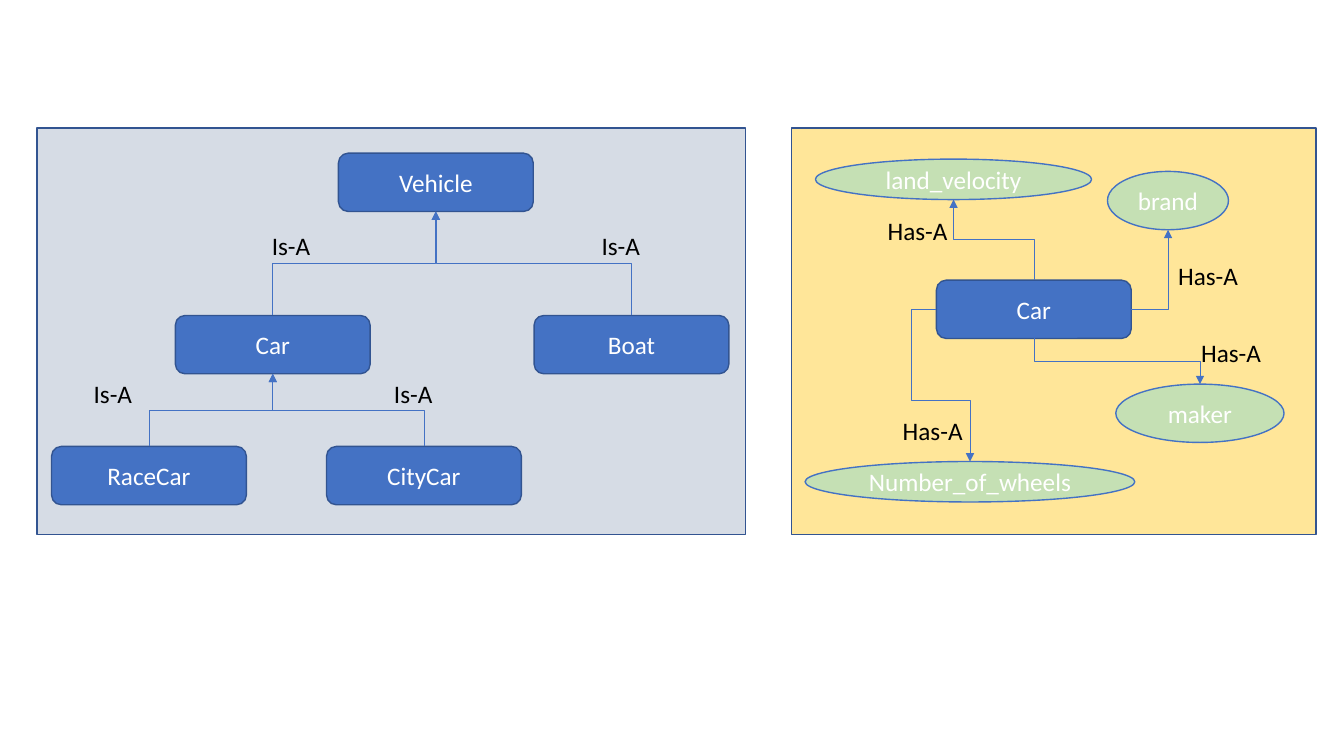
from dataclasses import dataclass

import pptx
import pptx.util
import pptx.dml.color
import pptx.enum.shapes
import pptx.enum.text
import pptx.oxml
import pptx.oxml.ns
from pptx.util import Cm

SHAPES = pptx.enum.shapes.MSO_SHAPE
TOP, LEFT, BOTTOM, RIGHT = range(4)
OVAL_SITES = {TOP: 0, LEFT: 2, BOTTOM: 4, RIGHT: 6}
NAMESPACE = pptx.oxml.ns.nsdecls("a")


@dataclass(frozen=True)
class Theme:
    font: str = "Calibri"
    text_size: float = 18
    outline_width: float = 1
    arrow_width: float = 0.5
    inheritance_panel: str = "D6DCE5"
    composition_panel: str = "FFE699"
    node: str = "4472C4"
    outline: str = "325491"
    attribute: str = "C5E0B4"
    light_text: str = "FFFFFF"
    dark_text: str = "000000"


THEME = Theme()


def color(value):
    return pptx.dml.color.RGBColor.from_string(value)


def add_box(slide, kind, bounds, fill, outline):
    shape = slide.shapes.add_shape(kind, *map(Cm, bounds))
    shape.shadow.inherit = False
    shape.fill.solid()
    shape.fill.fore_color.rgb = color(fill)
    shape.line.color.rgb = color(outline)
    shape.line.width = pptx.util.Pt(THEME.outline_width)
    return shape


def write_text(shape, text, text_color, alignment):
    frame = shape.text_frame
    frame.word_wrap = True
    frame.text = text
    paragraph = frame.paragraphs[0]
    paragraph.alignment = alignment
    paragraph.font.name = THEME.font
    paragraph.font.size = pptx.util.Pt(THEME.text_size)
    paragraph.font.color.rgb = color(text_color)


def add_class(slide, name, left, top):
    shape = add_box(slide, SHAPES.ROUNDED_RECTANGLE, (left, top, 4.91, 1.47),
                    THEME.node, THEME.outline)
    write_text(shape, name, THEME.light_text, pptx.enum.text.PP_ALIGN.CENTER)
    return shape


def add_attribute(slide, name, *bounds):
    shape = add_box(slide, SHAPES.OVAL, bounds, THEME.attribute, THEME.node)
    write_text(shape, name, THEME.light_text, pptx.enum.text.PP_ALIGN.CENTER)
    return shape


def add_label(slide, text, width, left, top):
    shape = slide.shapes.add_textbox(Cm(left), Cm(top), Cm(width), Cm(1.02))
    write_text(shape, text, THEME.dark_text, pptx.enum.text.PP_ALIGN.LEFT)


def bend(connector, vertical_start, geometry, adjustments):
    begin_x, begin_y = connector.begin_x, connector.begin_y
    across, down = connector.end_x - begin_x, connector.end_y - begin_y
    along, aside = (-down, across) if vertical_start else (across, down)
    connector.width, connector.height = abs(along), abs(aside)
    connector.left = begin_x + (across - abs(along)) // 2
    connector.top = begin_y + (down - abs(aside)) // 2
    properties = connector._element.spPr
    transform = properties.xfrm
    transform.rot = 270 if vertical_start else 0
    transform.flipH, transform.flipV = along < 0, aside < 0
    preset = properties.find(pptx.oxml.ns.qn("a:prstGeom"))
    preset.set("prst", geometry)
    for number, value in enumerate(adjustments, 1):
        preset[0].append(pptx.oxml.parse_xml(
            f'<a:gd {NAMESPACE} name="adj{number}" fmla="val {round(value * 100000)}"/>'))


def add_arrow(slide, source, source_side, target, target_side,
              geometry="bentConnector3", adjustments=()):
    connector = slide.shapes.add_connector(
        pptx.enum.shapes.MSO_CONNECTOR.ELBOW, 0, 0, 0, 0)
    connector.begin_connect(source, source_side)
    connector.end_connect(target, target_side)
    if target.auto_shape_type == SHAPES.OVAL:
        connection = connector._element.nvCxnSpPr.cNvCxnSpPr.endCxn
        connection.idx = OVAL_SITES[target_side]
    bend(connector, source_side in (TOP, BOTTOM), geometry, adjustments)
    connector.line.color.rgb = color(THEME.node)
    connector.line.width = pptx.util.Pt(THEME.arrow_width)
    connector.line._get_or_add_ln().append(
        pptx.oxml.parse_xml(f'<a:tailEnd {NAMESPACE} type="triangle"/>'))
    connector._element.spPr.append(
        pptx.oxml.parse_xml(f"<a:effectLst {NAMESPACE}/>"))


def draw_inheritance(slide):
    add_box(slide, SHAPES.RECTANGLE, (0.93, 3.23, 17.86, 10.24),
            THEME.inheritance_panel, THEME.outline)
    vehicle = add_class(slide, "Vehicle", 8.53, 3.86)
    car = add_class(slide, "Car", 4.42, 7.95)
    boat = add_class(slide, "Boat", 13.46, 7.95)
    race_car = add_class(slide, "RaceCar", 1.3, 11.25)
    city_car = add_class(slide, "CityCar", 8.23, 11.25)
    for child, parent in ((car, vehicle), (boat, vehicle),
                          (race_car, car), (city_car, car)):
        add_arrow(slide, child, TOP, parent, BOTTOM)
    for left, top in ((6.6, 5.69), (14.91, 5.69), (2.11, 9.42), (9.68, 9.42)):
        add_label(slide, "Is-A", 1.63, left, top)


def draw_composition(slide):
    add_box(slide, SHAPES.RECTANGLE, (19.94, 3.23, 13.23, 10.24),
            THEME.composition_panel, THEME.outline)
    car = add_class(slide, "Car", 23.6, 7.06)
    velocity = add_attribute(slide, "land_velocity", 20.55, 4.01, 6.96, 1.02)
    wheels = add_attribute(slide, "Number_of_wheels", 20.29, 11.63, 8.31, 1.02)
    brand = add_attribute(slide, "brand", 27.91, 4.32, 3.05, 1.47)
    maker = add_attribute(slide, "maker", 28.12, 9.68, 4.24, 1.47)
    add_arrow(slide, car, TOP, velocity, BOTTOM)
    add_arrow(slide, car, RIGHT, brand, BOTTOM, "bentConnector2")
    add_arrow(slide, car, BOTTOM, maker, TOP)
    add_arrow(slide, car, LEFT, wheels, TOP, "bentConnector4", (-0.75, 0.6))
    for left, top in ((22.12, 5.31), (22.5, 10.34), (30.02, 8.38), (29.44, 6.43)):
        add_label(slide, "Has-A", 2.18, left, top)


def main():
    presentation = pptx.Presentation()
    presentation.slide_width, presentation.slide_height = Cm(33.87), Cm(19.05)
    slide = presentation.slides.add_slide(presentation.slide_layouts[6])
    draw_composition(slide)
    draw_inheritance(slide)
    presentation.save("out.pptx")


main()
